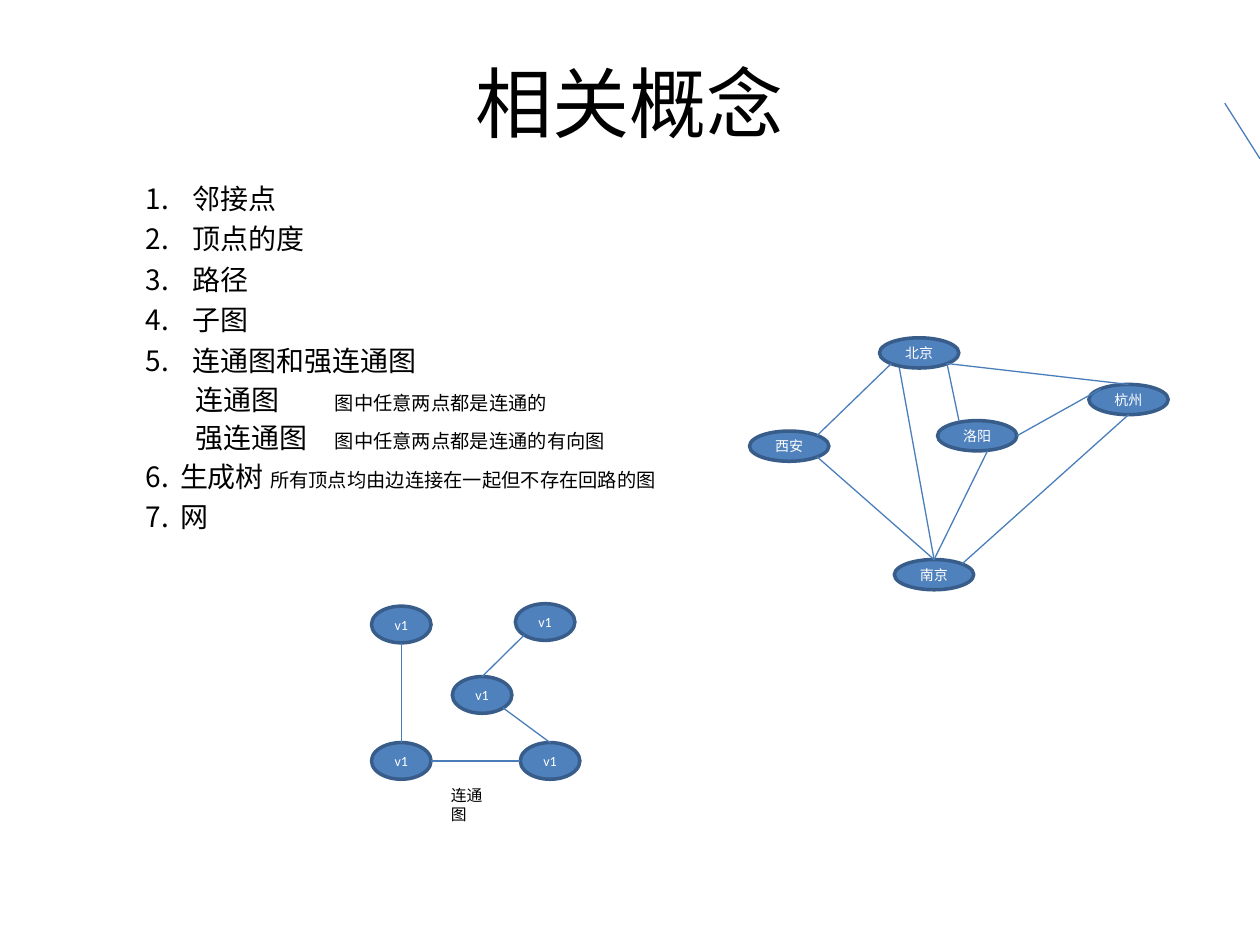
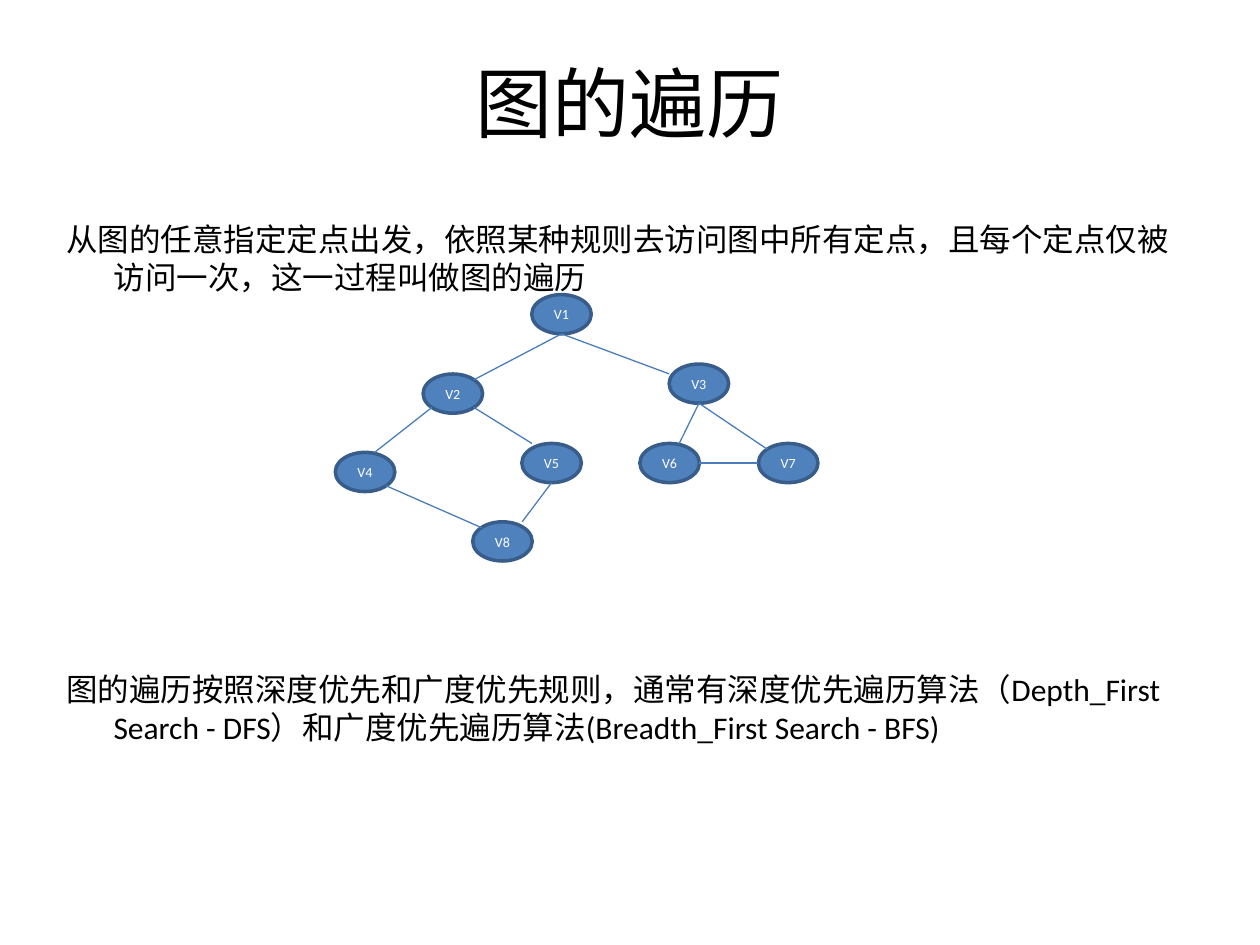
from lxml import etree
from pptx import Presentation
from pptx.dml.color import RGBColor
from pptx.enum.shapes import MSO_CONNECTOR as Connector, MSO_SHAPE as Shape
from pptx.enum.text import MSO_ANCHOR as Anchor, PP_ALIGN as Align
from pptx.oxml.ns import qn
from pptx.util import Cm, Pt

BLACK, WHITE = "000000", "FFFFFF"
NODE_FILL, NODE_LINE, EDGE_LINE = "4F81BD", "385D8A", "4A7EBB"

# Points on an ellipse, as fractions of its width and height
SITES = {
    "N": (0.5, 0), "S": (0.5, 1), "W": (0, 0.5), "E": (1, 0.5),
    "NW": (0.15, 0.15), "NE": (0.85, 0.15), "SW": (0.15, 0.85), "SE": (0.85, 0.85),
}


def colour(code):
    return RGBColor.from_string(code)


def write(para, text, size=16, font="Calibri", code=BLACK, align=None):
    """Add one formatted span of text to a paragraph."""
    span = para.add_run()
    span.text = text
    span.font.size = Pt(size)
    span.font.name = font
    span.font.color.rgb = colour(code)
    if align is not None:
        para.alignment = align


deck = Presentation()
deck.slide_width, deck.slide_height = Cm(25.4), Cm(19.05)

pages = []
for heading in ("相关概念", "图的遍历"):
    page = deck.slides.add_slide(deck.slide_layouts[5])
    title = page.shapes.title
    title.left, title.top, title.width, title.height = Cm(1.27), Cm(0.76), Cm(22.86), Cm(2.57)
    title.text_frame.vertical_anchor = Anchor.MIDDLE
    write(title.text_frame.paragraphs[0], heading, size=44, align=Align.CENTER)
    pages.append(page)
concepts, traversal = pages

# Concept list: term, explanation, list number, text indent, tab stop, space before
terms = [
    ("邻接点", "", 1, 0.95, None, 0),
    ("顶点的度", "", 1, 0.95, None, 4),
    ("路径", "", 1, 0.95, None, 4),
    ("子图", "", 1, 0.95, None, 4),
    ("连通图和强连通图", "", 1, 0.95, None, 4),
    ("连通图", "\t图中任意两点都是连通的", None, 1.01, 3.33, 2.8),
    ("强连通图", "\t图中任意两点都是连通的有向图", None, 1.01, 3.77, 2.8),
    ("生成树 ", "所有顶点均由边连接在一起但不存在回路的图", 6, 0.69, None, 2.8),
    ("网", "", 6, 0.69, None, 4),
]
box = concepts.shapes.add_textbox(Cm(2.69), Cm(3.53), Cm(21.84), Cm(14.2))
frame = box.text_frame
frame.word_wrap = True
for index, (term, explanation, number, indent, tab, space) in enumerate(terms):
    para = frame.add_paragraph() if index else frame.paragraphs[0]
    para.space_before = Pt(space)
    props = para._p.get_or_add_pPr()
    if number:
        props.set("marL", str(Cm(indent)))
        props.set("indent", str(-Cm(indent)))
        bullet_font = etree.SubElement(props, qn("a:buFont"))
        bullet_font.set("typeface", "Calibri")
        bullet = etree.SubElement(props, qn("a:buAutoNum"))
        bullet.set("type", "arabicPeriod")
        bullet.set("startAt", str(number))
    else:
        props.set("marL", "0")
        props.set("indent", str(Cm(indent)))
        tabs = etree.SubElement(props, qn("a:tabLst"))
        etree.SubElement(tabs, qn("a:tab"), pos=str(Cm(tab)), algn="l")
    write(para, term)
    if explanation:
        write(para, explanation, size=11)

caption = concepts.shapes.add_textbox(Cm(8.84), Cm(15.72), Cm(1.45), Cm(0.64))
caption.text_frame.word_wrap = False
write(caption.text_frame.paragraphs[0], "连通图", size=9, font="Arial")

# Traversal paragraphs above and below the graph
for top, text in (
    (4.32, "从图的任意指定定点出发，依照某种规则去访问图中所有定点，且每个定点仅被访问一次，这一过程叫做图的遍历"),
    (13.39, "图的遍历按照深度优先和广度优先规则，通常有深度优先遍历算法（Depth_First Search - DFS）"
            "和广度优先遍历算法(Breadth_First Search - BFS)"),
):
    box = traversal.shapes.add_textbox(Cm(1.09), Cm(top), Cm(22.86), Cm(2))
    box.text_frame.word_wrap = True
    para = box.text_frame.paragraphs[0]
    props = para._p.get_or_add_pPr()
    props.set("marL", str(Cm(0.95)))
    props.set("indent", str(-Cm(0.95)))
    write(para, text, size=18)

# Graphs: page, node size, shared label, node corners, edges (node, site, node, site)
cities = {
    "南京": (18.03, 11.28), "洛阳": (18.9, 8.48), "杭州": (21.95, 7.75),
    "北京": (17.73, 6.81), "西安": (15.11, 8.69),
}
city_edges = [
    ("西安", "SE", "南京", "N"),
    ("洛阳", "E", "杭州", "NW"),
    ("北京", "SW", "西安", "NE"),
    ("北京", (0.25, 1), "南京", "N"),
    ("南京", "NE", "杭州", "S"),
    ("南京", "N", "洛阳", (0.63, 1)),
    ("北京", "SE", "杭州", "N"),
    ("北京", "SE", "洛阳", (0.27, 0)),
]
connected = {
    "左上": (7.49, 12.22), "左下": (7.49, 14.97), "中间": (9.12, 13.64),
    "右上": (10.39, 12.17), "右下": (10.49, 14.97),
}
connected_edges = [
    ("左上", "S", "左下", "N"),
    ("左下", "E", "右下", "W"),
    ("中间", "N", "右上", "SW"),
    ("中间", "SE", "右下", "N"),
]
vertices = {
    "V1": (10.72, 5.94), "V2": (8.53, 7.54), "V5": (10.52, 8.94), "V4": (6.76, 9.12),
    "V8": (9.53, 10.52), "V3": (13.49, 7.34), "V6": (12.9, 8.94), "V7": (15.29, 8.94),
}
vertex_edges = [
    ("V1", "S", "V2", "NE"),
    ("V1", "S", "V3", (0, 0.25)),
    ("V2", "SW", "V4", (0.66, 0)),
    ("V2", "SE", "V5", (0.17, 0)),
    ("V5", "S", "V8", (0.83, 0)),
    ("V4", "SE", "V8", "NW"),
    ("V3", "S", "V6", (0.66, 0)),
    ("V3", "S", "V7", "NW"),
    ("V6", "E", "V7", "W"),
]
graphs = [
    (concepts, (1.6, 0.61), None, cities, city_edges),
    (concepts, (1.2, 0.74), "v1", connected, connected_edges),
    (traversal, (1.2, 0.79), None, vertices, vertex_edges),
]

# The loose line at the right edge belongs to no node
lines = [(concepts, (24.69, 2.08), (25.4, 3.2))]
for page, (width, height), label, nodes, edges in graphs:
    for name, (left, top) in nodes.items():
        node = page.shapes.add_shape(Shape.OVAL, Cm(left), Cm(top), Cm(width), Cm(height))
        node.shadow.inherit = False
        node.fill.solid()
        node.fill.fore_color.rgb = colour(NODE_FILL)
        node.line.color.rgb = colour(NODE_LINE)
        node.line.width = Pt(2)
        frame = node.text_frame
        frame.word_wrap = False
        frame.vertical_anchor = Anchor.MIDDLE
        write(frame.paragraphs[0], label or name, size=8, code=WHITE, align=Align.CENTER)
    for start, start_site, end, end_site in edges:
        points = []
        for name, site in ((start, start_site), (end, end_site)):
            across, down = SITES.get(site, site)
            left, top = nodes[name]
            points.append((left + across * width, top + down * height))
        lines.append((page, *points))

for page, (x1, y1), (x2, y2) in lines:
    edge = page.shapes.add_connector(Connector.STRAIGHT, Cm(x1), Cm(y1), Cm(x2), Cm(y2))
    edge.line.color.rgb = colour(EDGE_LINE)
    edge.line.width = Pt(0.75)
    etree.SubElement(edge._element.spPr, qn("a:effectLst"))

deck.save("out.pptx")
